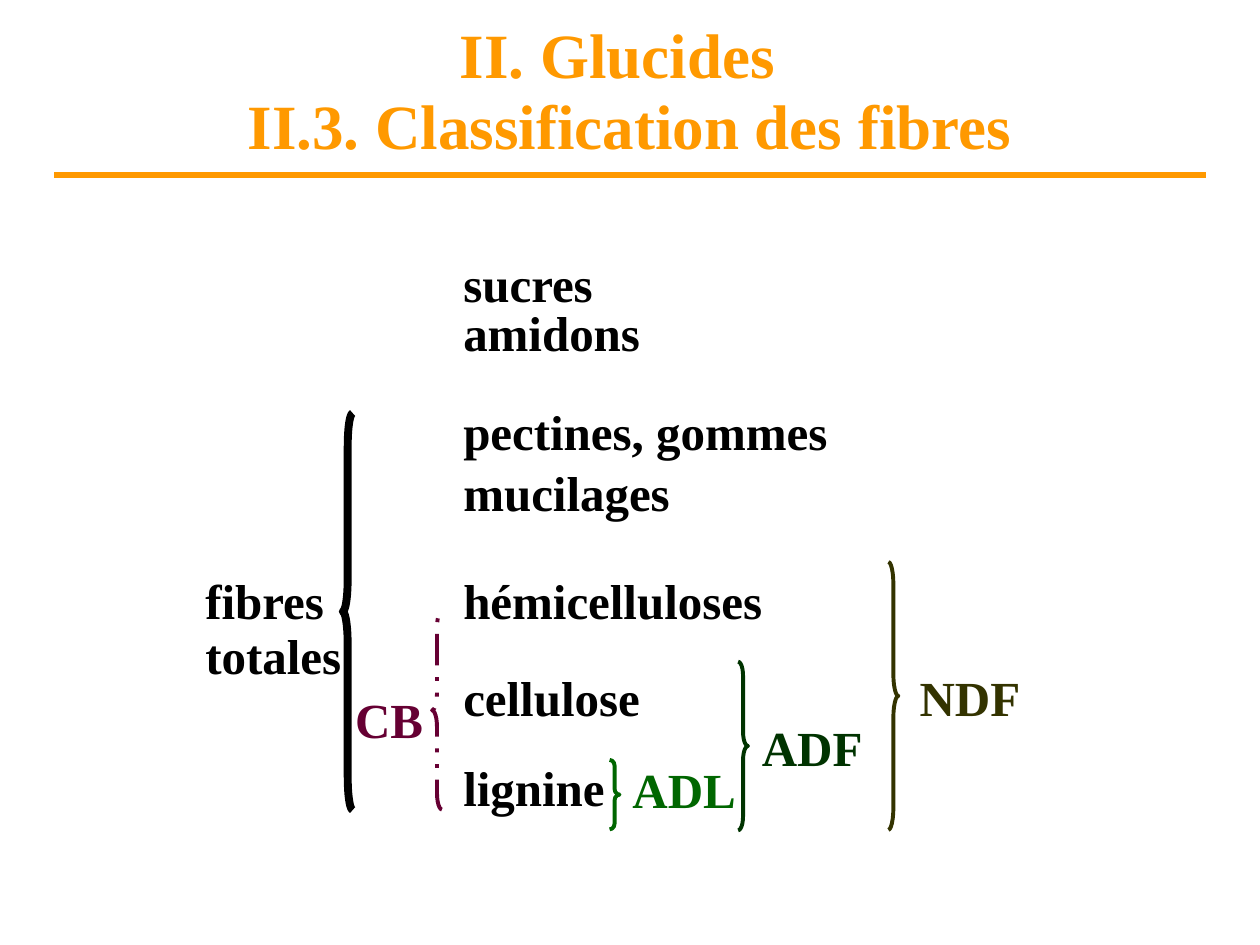
from dataclasses import dataclass
from typing import Optional

from lxml.etree import SubElement
from pptx import Presentation
from pptx.dml.color import RGBColor
from pptx.enum.dml import MSO_LINE
from pptx.enum.shapes import MSO_CONNECTOR as Connector, MSO_SHAPE as Shape
from pptx.enum.text import MSO_ANCHOR as Anchor, MSO_AUTO_SIZE as AutoSize, PP_ALIGN as Align
from pptx.oxml.ns import qn
from pptx.util import Cm, Pt


@dataclass(frozen=True)
class Theme:
    font: str = "Times New Roman"
    heading_size: float = 36
    label_size: float = 28
    paragraph_gap: float = 17.5
    line_spacing: float = 1.04
    brace_width: float = 0.2
    accent: str = "FF9900"
    ink: str = "000000"
    crude: str = "660033"
    lignin: str = "006600"
    acid: str = "003300"
    neutral: str = "333300"


THEME = Theme()


@dataclass(frozen=True)
class Label:
    lines: tuple[str, ...]
    left: float
    top: float
    width: float
    height: float = 1.45
    color: str = THEME.ink
    next_spacing: float = 1.0


@dataclass(frozen=True)
class Brace:
    kind: Shape
    left: float
    top: float
    height: float
    color: str
    weight: float = 2.25
    dash: Optional[MSO_LINE] = None


COMPONENT_LEFT = 9.09
LABELS = (
    Label(("cellulose",), COMPONENT_LEFT, 13.28, 8),
    Label(("hémicelluloses",), COMPONENT_LEFT, 11.33, 11.4),
    Label(("lignine",), COMPONENT_LEFT, 15.09, 4.8),
    Label(("pectines, gommes mucilages",), COMPONENT_LEFT, 7.92, 8, 2.64),
    Label(("sucres", "amidons"), COMPONENT_LEFT, 4.93, 8, 2.31, next_spacing=0.2),
    Label(("CB",), 6.91, 13.72, 2.59, color=THEME.crude),
    Label(("ADL",), 12.5, 15.14, 7.39, color=THEME.lignin),
    Label(("ADF",), 15.11, 14.3, 3.58, color=THEME.acid),
    Label(("NDF",), 18.29, 13.28, 3.4, color=THEME.neutral),
    Label(("fibres", "totales"), 3.89, 11.33, 3.4, 2.41, next_spacing=0.3),
)
BRACES = (
    Brace(Shape.LEFT_BRACE, 8.71, 12.32, 4, THEME.crude, dash=MSO_LINE.DASH_DOT_DOT),
    Brace(Shape.RIGHT_BRACE, 12.29, 15.32, 1.4, THEME.lignin),
    Brace(Shape.RIGHT_BRACE, 14.88, 13.34, 3.4, THEME.acid),
    Brace(Shape.RIGHT_BRACE, 17.91, 11.33, 5.4, THEME.neutral),
    Brace(Shape.LEFT_BRACE, 6.91, 8.33, 8, THEME.ink, weight=4.5),
)
HEADING = Label(("II. Glucides",), 4.29, 0.13, 16.31, 1.78, THEME.accent)
SUBHEADING = Label(("II.3. Classification des fibres",), 3.89, 1.55, 17.6, 1.78, THEME.accent)


def write_lines(frame, label: Label, size: float, align: Align) -> None:
    """Fill a text frame with the lines of a label."""
    frame.word_wrap = True
    frame.auto_size = AutoSize.SHAPE_TO_FIT_TEXT
    frame.vertical_anchor = Anchor.TOP
    for index, line in enumerate(label.lines):
        paragraph = frame.add_paragraph() if index else frame.paragraphs[0]
        paragraph.alignment = align
        paragraph.space_before = Pt(THEME.paragraph_gap if index else 0)
        paragraph.line_spacing = label.next_spacing if index else THEME.line_spacing
        run = paragraph.add_run()
        run.text = line
        run.font.name = THEME.font
        run.font.size = Pt(size)
        run.font.bold = True
        run.font.color.rgb = RGBColor.from_string(label.color)


def fill_heading(placeholder, label: Label) -> None:
    """Move a placeholder and write a heading in it."""
    placeholder.left, placeholder.top = Cm(label.left), Cm(label.top)
    placeholder.width, placeholder.height = Cm(label.width), Cm(label.height)
    write_lines(placeholder.text_frame, label, THEME.heading_size, Align.CENTER)


def draw_label(slide, label: Label) -> None:
    """Draw a label in its own text box."""
    box = slide.shapes.add_textbox(
        Cm(label.left), Cm(label.top), Cm(label.width), Cm(label.height))
    write_lines(box.text_frame, label, THEME.label_size, Align.LEFT)


def draw_brace(slide, brace: Brace) -> None:
    """Draw a brace whose curves each take a twelfth of its height."""
    outline = slide.shapes.add_shape(
        brace.kind, Cm(brace.left), Cm(brace.top), Cm(THEME.brace_width), Cm(brace.height))
    outline.adjustments[0] = brace.height / 12 / THEME.brace_width
    outline.shadow.inherit = False
    outline.fill.background()
    outline.line.color.rgb = RGBColor.from_string(brace.color)
    outline.line.width = Pt(brace.weight)
    if brace.dash is not None:
        outline.line.dash_style = brace.dash


def draw_heading_rule(slide) -> None:
    """Draw the rule below the headings."""
    rule = slide.shapes.add_connector(
        Connector.STRAIGHT, Cm(1.09), Cm(3.53), Cm(24.31), Cm(3.53))
    rule.line.color.rgb = RGBColor.from_string(THEME.accent)
    rule.line.width = Pt(3)
    SubElement(rule._element.spPr, qn("a:effectLst"))


def main() -> None:
    """Build the slide on fibre classification."""
    deck = Presentation()
    deck.slide_width, deck.slide_height = Cm(25.4), Cm(19.05)
    slide = deck.slides.add_slide(deck.slide_layouts[0])
    fill_heading(slide.shapes.title, HEADING)
    fill_heading(slide.placeholders[1], SUBHEADING)
    draw_heading_rule(slide)
    for label in LABELS:
        draw_label(slide, label)
    for brace in BRACES:
        draw_brace(slide, brace)
    deck.save("out.pptx")


if __name__ == "__main__":
    main()
